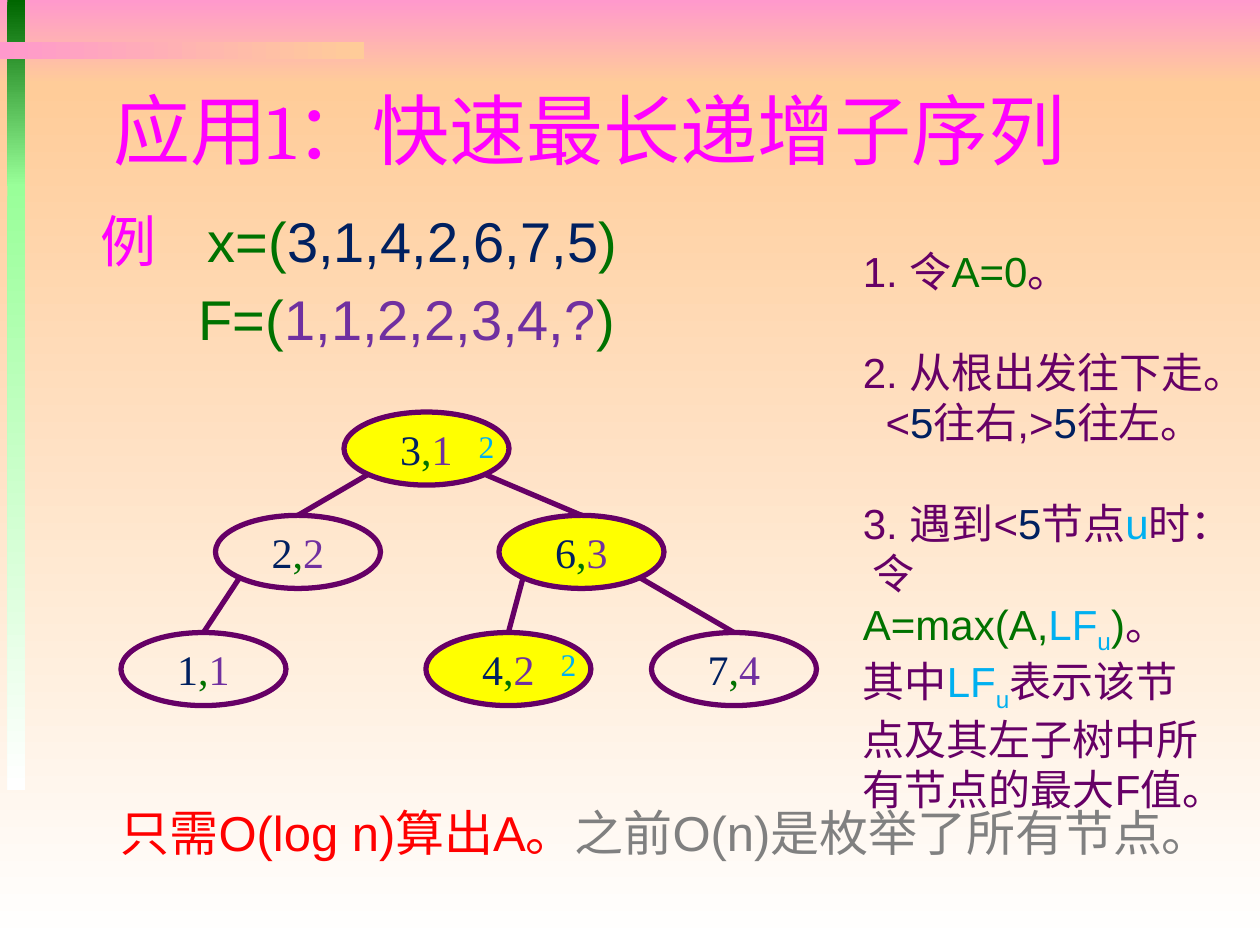
"""Build the slide on a fast longest increasing subsequence with a search tree."""
from lxml.etree import SubElement
from pptx import Presentation
from pptx.dml.color import RGBColor
from pptx.enum.shapes import MSO_CONNECTOR as CONN, MSO_SHAPE as SHAPE
from pptx.enum.text import MSO_ANCHOR as ANCHOR, PP_ALIGN as ALIGN
from pptx.oxml.ns import qn
from pptx.util import Inches, Pt

PINK, PEACH, MINT, WHITE = "FF99CC", "FFCC99", "99FF99", "FFFFFF"
MAGENTA, GREEN, NAVY, VIOLET = "FF00FF", "007200", "002060", "7030A0"
PLUM, SKY, RED, GRAY, YELLOW = "660066", "00B0F0", "FF0000", "808080", "FFFF00"
ARIAL, TIMES = "Arial", "Times New Roman"


def rgb(code):
    """Turn a hex string into a colour."""
    return RGBColor.from_string(code)


def write(p, font, size, runs):
    """Add runs of (text, colour) or (text, colour, baseline) to a paragraph."""
    for text, color, *base in runs:
        r = p.add_run()
        r.text = text
        r.font.name, r.font.size = font, Pt(size)
        r.font.color.rgb = rgb(color)
        if base:
            r.font._element.set("baseline", str(base[0] * 1000))


prs = Presentation()
prs.slide_width, prs.slide_height = Inches(10), Inches(7.5)
U = prs.slide_width // 100
s = prs.slides.add_slide(prs.slide_layouts[5])

bars = [
    ((0, 0, 100, 6.7), PINK, PEACH, 270),
    ((0, 6.7, 100, 68.3), PEACH, WHITE, 270),
    ((0.6, 0, 1.4, 14.8), "006600", MINT, 270),
    ((0.6, 14.6, 1.4, 48.1), MINT, WHITE, 270),
    ((0, 3.3, 28.9, 1.4), PINK, PEACH, 0),
]
for box, start, end, angle in bars:
    sp = s.shapes.add_shape(SHAPE.RECTANGLE, *[int(v * U) for v in box])
    sp.shadow.inherit = False
    sp.line.fill.background()
    sp.fill.gradient()
    sp.fill.gradient_angle = angle
    for stop, color in zip(sp.fill.gradient_stops, (start, end)):
        stop.color.rgb = rgb(color)

title = s.shapes.title
s.shapes._spTree.append(title._element)
title.left, title.top, title.width, title.height = [int(v * U) for v in (8, 5.7, 85, 9)]
title.text_frame.vertical_anchor = ANCHOR.MIDDLE
p = title.text_frame.paragraphs[0]
p.alignment = ALIGN.LEFT
write(p, "Cambria", 44, [("应用1：快速最长递增子序列", MAGENTA)])

W, H = 13.1, 5.8
ROWS = (32.7, 40.9, 50.2)
tree = [
    ("3", "1", 27.3, 0, True, None, 0),
    ("2", "2", 17.1, 1, False, "3", -1),
    ("1", "1", 9.6, 2, False, "2", -1),
    ("6", "3", 39.6, 1, True, "3", 1),
    ("4", "2", 33.8, 2, True, "6", -1),
    ("7", "4", 51.7, 2, False, "6", 1),
]
nodes = {}
for key, value, left, row, visited, parent, side in tree:
    sp = s.shapes.add_shape(SHAPE.OVAL, *[int(v * U) for v in (left, ROWS[row], W, H)])
    nodes[key] = sp
    sp.shadow.inherit = False
    sp.line.color.rgb, sp.line.width = rgb(PLUM), Pt(3)
    if visited:
        sp.fill.solid()
        sp.fill.fore_color.rgb = rgb(YELLOW)
    else:
        sp.fill.background()
    tf = sp.text_frame
    tf.margin_left = tf.margin_right = tf.margin_top = tf.margin_bottom = 0
    tf.vertical_anchor = ANCHOR.MIDDLE
    p = tf.paragraphs[0]
    p.alignment = ALIGN.CENTER
    write(p, TIMES, 24, [(key, NAVY), (",", GREEN), (value, VIOLET)])

for key, _, _, _, _, parent, side in tree:
    if parent:
        top = nodes[parent]
        x = int(top.left + top.width * (0.5 + 0.354 * side))
        y = int(top.top + top.height * 0.854)
        edge = s.shapes.add_connector(CONN.STRAIGHT, x, y, x, y)
        edge.end_connect(nodes[key], 0)
        edge.line.color.rgb, edge.line.width = rgb(PLUM), Pt(3)
        SubElement(edge._element.spPr, qn("a:effectLst"))

example = [
    (0, 6.4, [("例\t", MAGENTA), ("x=(", GREEN), ("3,1,4,2,6,7,5", NAVY), (")", GREEN)]),
    (7.8, 6.4, [("F=(", GREEN), ("1,1,2,2,3,4,?", VIOLET), (")", GREEN)]),
]
steps = [
    (0, 0, [("1. 令", PLUM), ("A=0", GREEN), ("。", PLUM)]),
    (0, 28.8, [("2. 从根出发往下走。", PLUM)]),
    (1.8, 0, [("<", PLUM), ("5", NAVY), ("往右,>", PLUM), ("5", NAVY), ("往左。", PLUM)]),
    (0, 28.8, [("3. 遇到<", PLUM), ("5", NAVY), ("节点", PLUM), ("u", SKY),
               ("时： 令", PLUM), ("A=max(A,", GREEN), ("LF", SKY), ("u", SKY, -25),
               (")", GREEN), ("。", PLUM)]),
    (0, 0, [("其中", PLUM), ("LF", SKY), ("u", SKY, -25),
            ("表示该节点及其左子树中所有节点的最大F值。", PLUM)]),
]
badge = [(0, 0, [("2", SKY)])]
summary = [(0, 0, [("只需O(log n)算出A。", RED), ("之前O(n)是枚举了所有节点。", GRAY)])]
texts = [
    ((7, 15.9, 50.7, 14.6), ARIAL, 32, example),
    ((67.5, 19, 30.1, 45.4), ARIAL, 24, steps),
    ((37, 33.4, 6.1, 4), TIMES, 18, badge),
    ((43.5, 50.7, 6.1, 4), TIMES, 18, badge),
    ((8.6, 63.2, 88.2, 5.7), ARIAL, 28, summary),
]
for box, font, size, paragraphs in texts:
    tf = s.shapes.add_textbox(*[int(v * U) for v in box]).text_frame
    tf.word_wrap = True
    for i, (indent, before, runs) in enumerate(paragraphs):
        p = tf.add_paragraph() if i else tf.paragraphs[0]
        p.space_before = Pt(before)
        pPr = p._p.get_or_add_pPr()
        pPr.set("marL", str(int(indent * U)))
        if "\t" in runs[0][0]:
            tabs = SubElement(pPr, qn("a:tabLst"))
            SubElement(tabs, qn("a:tab"), pos=str(int(8.5 * U)), algn="l")
        write(p, font, size, runs)

prs.save("out.pptx")
